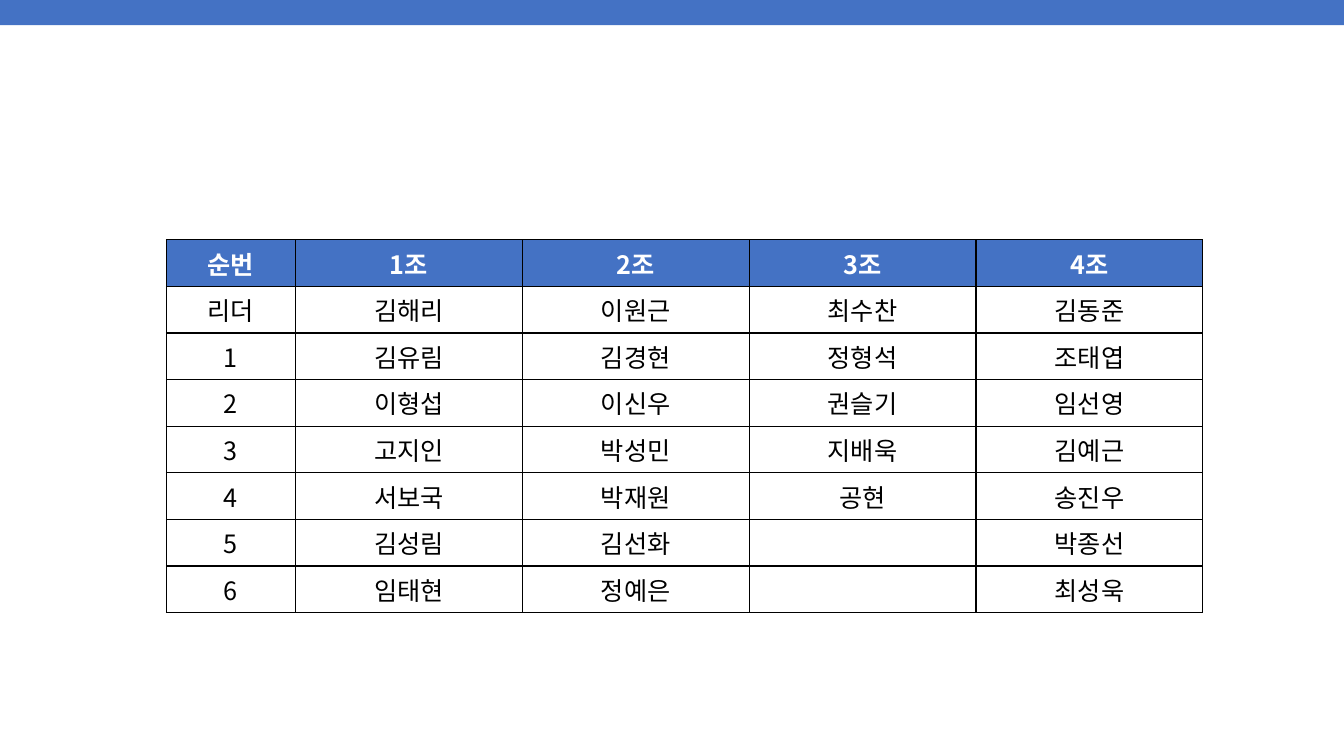
from lxml import etree
from pptx import Presentation
from pptx.dml.color import RGBColor
from pptx.enum.shapes import MSO_SHAPE
from pptx.enum.text import MSO_ANCHOR, PP_ALIGN
from pptx.oxml.ns import qn
from pptx.util import Inches, Pt

RECTANGLE = MSO_SHAPE.RECTANGLE
CENTER = PP_ALIGN.CENTER
MIDDLE = MSO_ANCHOR.MIDDLE

# Content
HEADER = ["순번", "1조", "2조", "3조", "4조"]
MEMBERS = [
    ["리더", "김해리", "이원근", "최수찬", "김동준"],
    ["1", "김유림", "김경현", "정형석", "조태엽"],
    ["2", "이형섭", "이신우", "권슬기", "임선영"],
    ["3", "고지인", "박성민", "지배욱", "김예근"],
    ["4", "서보국", "박재원", "공현", "송진우"],
    ["5", "김성림", "김선화", "", "박종선"],
    ["6", "임태현", "정예은", "", "최성욱"],
]
ROWS = [HEADER] + MEMBERS

# Look
COLORS = {"blue": "4472C4", "white": "FFFFFF", "black": "000000"}
FONT = "Noto Sans CJK KR"
HEADER_FORMAT = {"name": FONT, "size": Pt(18), "bold": True}
MEMBER_FORMAT = {"name": FONT, "size": Pt(18), "bold": False}

# Measures in inches
PAGE_WIDTH, PAGE_HEIGHT = 13.33, 7.5
BAR_HEIGHT = PAGE_HEIGHT / 30
TABLE_LEFT, TABLE_TOP, TABLE_HEIGHT = 1.65, 2.38, 3.24
NUMBER_WIDTH, TEAM_WIDTH = 1.28, 2.25
COLUMN_WIDTHS = [NUMBER_WIDTH] + [TEAM_WIDTH] * (len(HEADER) - 1)


def color(name):
    return RGBColor.from_string(COLORS[name])


def add_borders(cell):
    properties = cell._tc.get_or_add_tcPr()
    for side in ("lnL", "lnR", "lnT", "lnB"):
        line = etree.SubElement(properties, qn(f"a:{side}"), w=str(Pt(1)))
        fill = etree.SubElement(line, qn("a:solidFill"))
        etree.SubElement(fill, qn("a:srgbClr"), val=COLORS["black"])


def fill_cell(cell, text, is_header):
    add_borders(cell)
    cell.vertical_anchor = MIDDLE
    if is_header:
        cell.fill.solid()
        cell.fill.fore_color.rgb = color("blue")
    else:
        cell.fill.background()
    para = cell.text_frame.paragraphs[0]
    para.alignment = CENTER
    if not text:
        return
    span = para.add_run()
    span.text = text
    for key, value in (HEADER_FORMAT if is_header else MEMBER_FORMAT).items():
        setattr(span.font, key, value)
    span.font.color.rgb = color("white" if is_header else "black")
    # Korean letters take the East Asian typeface
    etree.SubElement(span._r.get_or_add_rPr(), qn("a:ea"), typeface=FONT)


def add_bar(page):
    bar = page.shapes.add_shape(RECTANGLE, 0, 0, Inches(PAGE_WIDTH), Inches(BAR_HEIGHT))
    bar.shadow.inherit = False
    bar.fill.solid()
    bar.fill.fore_color.rgb = color("blue")
    bar.line.fill.background()


def add_team_table(page):
    table = page.shapes.add_table(
        len(ROWS), len(HEADER), Inches(TABLE_LEFT), Inches(TABLE_TOP),
        Inches(sum(COLUMN_WIDTHS)), Inches(TABLE_HEIGHT)).table
    table.horz_banding = False
    for column, width in zip(table.columns, COLUMN_WIDTHS):
        column.width = Inches(width)
    for row_index, texts in enumerate(ROWS):
        for column_index, text in enumerate(texts):
            fill_cell(table.cell(row_index, column_index), text, row_index == 0)


def main():
    deck = Presentation()
    deck.slide_width, deck.slide_height = Inches(PAGE_WIDTH), Inches(PAGE_HEIGHT)
    page = deck.slides.add_slide(deck.slide_layouts[6])
    add_bar(page)
    add_team_table(page)
    deck.save("out.pptx")


if __name__ == "__main__":
    main()
